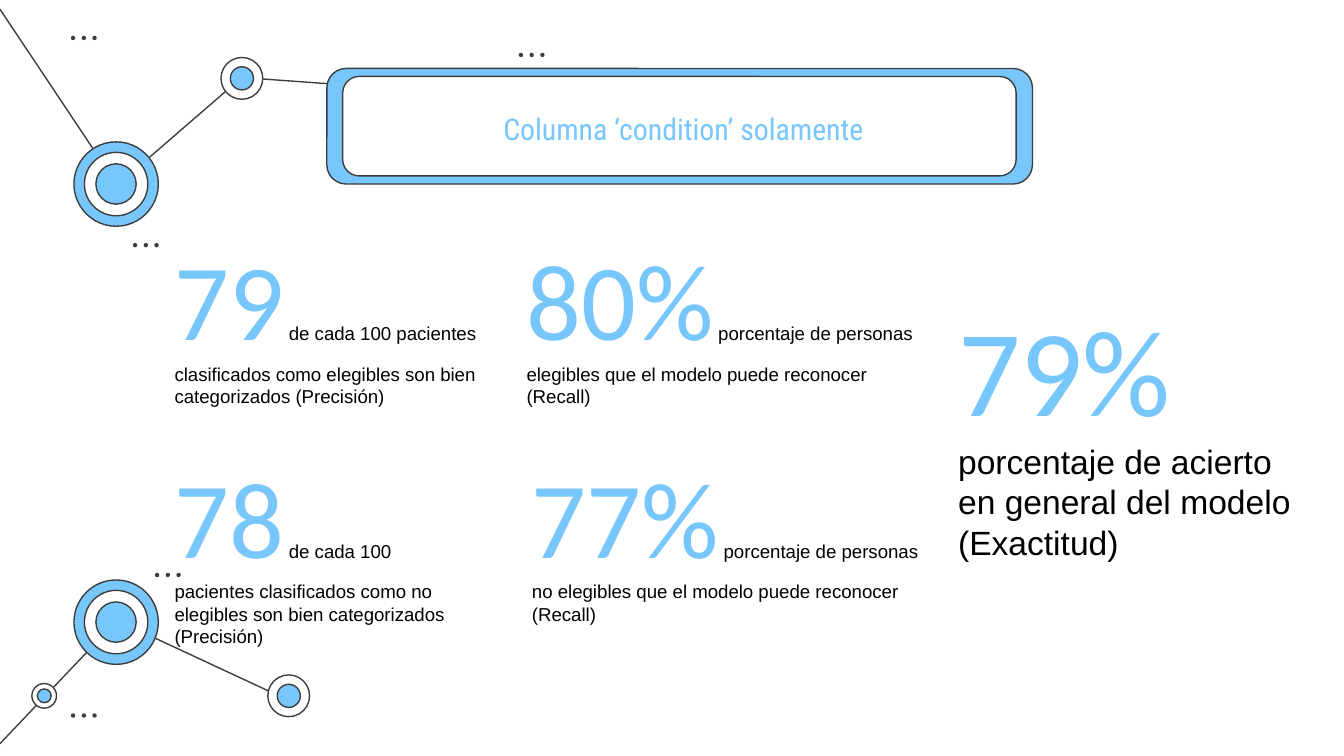
from lxml import etree
from pptx import Presentation
from pptx.dml.color import RGBColor
from pptx.enum import shapes, text
from pptx.oxml import ns
from pptx.util import Pt

BLUE = RGBColor(0x77, 0xC6, 0xFC)
DARK = RGBColor(0x3D, 0x3D, 0x3D)
WHITE = RGBColor(0xFF, 0xFF, 0xFF)
BLACK = RGBColor(0, 0, 0)
OVAL = shapes.MSO_SHAPE.OVAL
ROUND = shapes.MSO_SHAPE.ROUNDED_RECTANGLE

deck = Presentation()
deck.slide_width, deck.slide_height = Pt(720), Pt(405)
slide = deck.slides.add_slide(deck.slide_layouts[6])


def add_form(kind, left, top, wide, high, fill, line=DARK):
    form = slide.shapes.add_shape(kind, Pt(left), Pt(top), Pt(wide), Pt(high))
    form.shadow.inherit = False
    form.fill.solid()
    form.fill.fore_color.rgb = fill
    if line is None:
        form.line.fill.background()
    else:
        form.line.color.rgb = line
        form.line.width = Pt(0.75)
    return form


def add_text(left, top, wide, high, parts):
    box = slide.shapes.add_textbox(Pt(left), Pt(top), Pt(wide), Pt(high))
    frame = box.text_frame
    frame.word_wrap = True
    frame.margin_left = frame.margin_right = Pt(7.2)
    frame.margin_top = frame.margin_bottom = Pt(7.2)
    for words, size, face, color in parts:
        run = frame.paragraphs[0].add_run()
        run.text = words
        run.font.size = Pt(size)
        run.font.name = face
        run.font.color.rgb = color
    return frame


# Lines between the nodes
for x1, y1, x2, y2 in [
    (129.6, 41.5, 261.4, 51.1), (62.5, 99.5, 129.2, 41.8),
    (0, 5, 62.5, 98.6), (62.5, 332.3, 153.4, 374.6), (0, 398.4, 62.5, 332.6),
]:
    line = slide.shapes.add_connector(
        shapes.MSO_CONNECTOR.STRAIGHT, Pt(x1), Pt(y1), Pt(x2), Pt(y2))
    line.line.color.rgb = DARK
    line.line.width = Pt(0.75)
    etree.SubElement(line._element.spPr, ns.qn("a:effectLst"))

# Nodes: rings around one centre, outermost first
LARGE = [(45.2, BLUE), (34, WHITE), (21.6, BLUE)]
MEDIUM = [(22.4, WHITE), (12.4, BLUE)]
SMALL = [(13.2, WHITE), (7.4, BLUE)]
for x, y, rings in [
    (62.2, 98.6, LARGE), (129.6, 42, MEDIUM), (62.2, 333.3, LARGE),
    (154.7, 372.8, MEDIUM), (23.7, 372.8, SMALL),
]:
    for size, fill in rings:
        add_form(OVAL, x - size / 2, y - size / 2, size, size, fill)

# Groups of three dots
for x, y in [(277.9, 28.3), (38, 19.2), (71.2, 130.2), (38, 382.2), (83, 306.9)]:
    for i in range(3):
        add_form(OVAL, x + i * 5.76, y, 2.3, 2.3, DARK, None)

# Title frame
for left, top, wide, high, fill in [
    (175.1, 36.7, 378, 61.9, BLUE), (183.6, 41, 360.8, 53.3, WHITE),
]:
    add_form(ROUND, left, top, wide, high, fill).adjustments[0] = 0.167

# Title
title = add_text(185.8, 44.6, 360.7, 48.2, [
    ("Columna ‘condition’ solamente", 16, "Roboto Condensed", BLUE)])
title.vertical_anchor = text.MSO_ANCHOR.MIDDLE
title.paragraphs[0].alignment = text.PP_ALIGN.CENTER

# Figures: place, number and its size, label and its size
for left, top, wide, high, value, big, label, size in [
    (86.4, 117.4, 181.4, 109.4, "79", 58,
     "de cada 100 pacientes clasificados como elegibles son bien "
     "categorizados (Precisión)", 10),
    (86.4, 234, 166.3, 121, "78", 58,
     "de cada 100 pacientes clasificados como no elegibles son bien "
     "categorizados (Precisión)", 10),
    (275, 117.4, 224.6, 109.4, "80%", 58,
     "porcentaje de personas elegibles que el modelo puede reconocer "
     "(Recall)", 10),
    (277.9, 234, 224.6, 109.4, "77%", 58,
     "porcentaje de personas no elegibles que el modelo puede reconocer "
     "(Recall)", 10),
    (506.2, 149.8, 201.6, 159.8, "79%", 66,
     "porcentaje de acierto en general del modelo (Exactitud)", 18),
]:
    add_text(left, top, wide, high, [
        (value, big, "Calibri", BLUE),
        (" ", size - 1, "Arial", BLACK),
        (label, size, "Arial", BLACK)])

deck.save("out.pptx")
